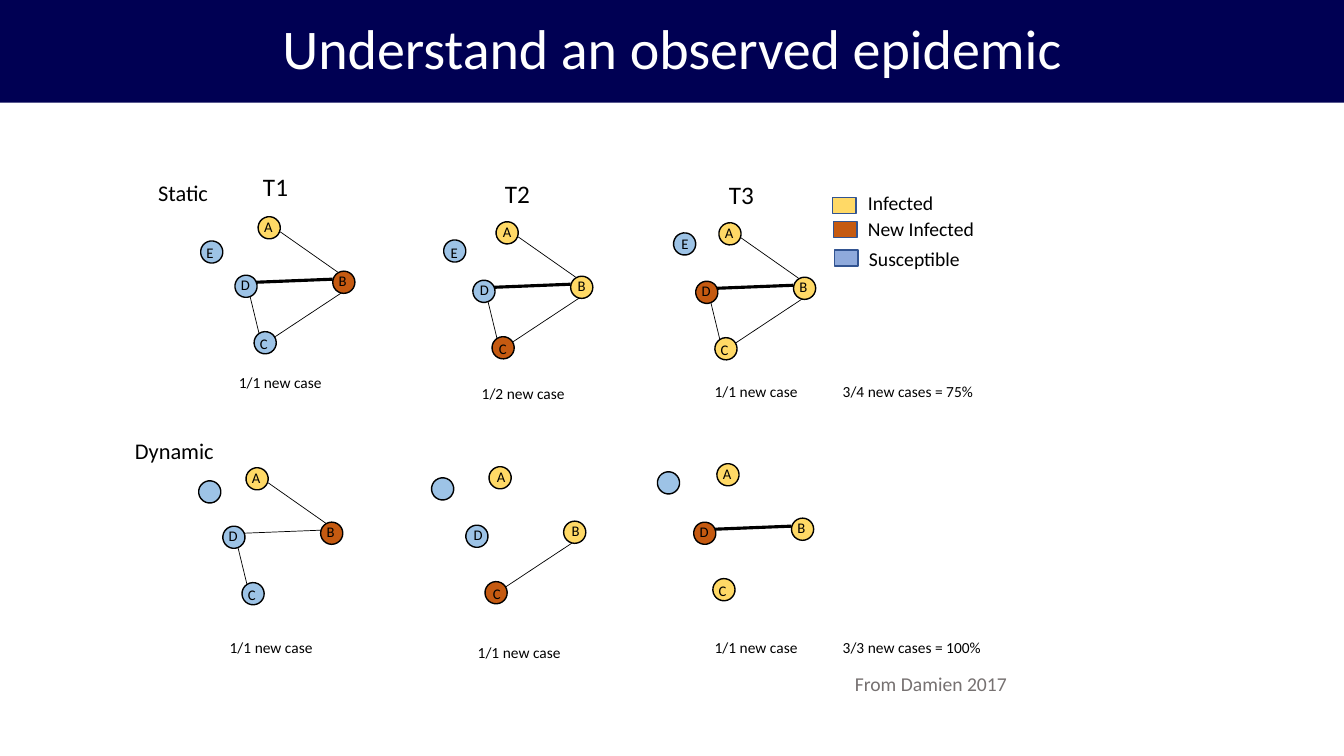
from dataclasses import dataclass

from lxml import etree
from pptx import Presentation
from pptx.dml.color import RGBColor
from pptx.enum.shapes import MSO_CONNECTOR, MSO_SHAPE
from pptx.enum.text import MSO_ANCHOR, MSO_AUTO_SIZE, PP_ALIGN
from pptx.oxml.ns import qn
from pptx.util import Emu, Pt

STRAIGHT = MSO_CONNECTOR.STRAIGHT
ELLIPSE = MSO_SHAPE.OVAL
RECTANGLE = MSO_SHAPE.RECTANGLE
MIDDLE = MSO_ANCHOR.MIDDLE
CENTER = PP_ALIGN.CENTER
GROW = MSO_AUTO_SIZE.SHAPE_TO_FIT_TEXT
EMU_PER_PX = 9144
NODE_SIZE = 22


@dataclass(frozen=True)
class Theme:
    """Colours and type sizes of the slide."""
    font: str = "Calibri"
    banner: str = "000053"
    white: str = "FFFFFF"
    ink: str = "000000"
    muted: str = "767171"
    infected: str = "FFD966"
    new: str = "C55A11"
    susceptible: str = "9DC3E6"
    key_susceptible: str = "8FAADC"
    key_line: str = "325491"
    title: float = 40
    period: float = 18
    row: float = 16
    key: float = 14
    caption: float = 11
    node: float = 10.5
    thin: float = 0.5
    outline: float = 1
    thick: float = 2.25


THEME = Theme()
NODES = {
    "D": (0, 0, 337.3),
    "A": (23, -58, 336.9),
    "C": (19, 56, 12),
    "B": (97, -4, 60.2),
}
LINKS = {
    "DB": (97, 4, 21, 7),
    "AB": (45, -43, 102, -3),
    "BC": (105, 18, 40, 61),
    "CD": (24, 58, 15, 21),
}


@dataclass(frozen=True)
class Network:
    """One contact network, with offsets measured from node D."""
    origin: tuple
    infected: str
    new: str
    links: tuple
    strong: bool
    loner: tuple
    label_shift: tuple
    caption: str
    caption_offset: tuple
    period: str = ""
    period_offset: tuple = (0, 0)
    loner_label: tuple = ()


ALL_LINKS = tuple(LINKS)
STATIC = (
    Network((233, 273), "A", "B", ALL_LINKS, True, (-34, -34), (-4, -4),
            "1/1 new case", (-6, 92), "T1", (18, -108), (-4, -2)),
    Network((469, 278), "AB", "C", ALL_LINKS, True, (-29, -40), (-3, -4),
            "1/2 new case", (-1, 98), "T2", (22, -106), (-3, -1)),
    Network((690, 279), "ABC", "D", ALL_LINKS, True, (-22, -48), (-4, -4),
            "1/1 new case", (9, 95), "T3", (23, -106), (-2, -3)),
)
DYNAMIC = (
    Network((221, 522), "A", "B", ("DB", "AB", "CD"), False, (-24, -45), (-4, -4),
            "1/1 new case", (-3, 106)),
    Network((462, 521), "AB", "C", ("BC",), False, (-34, -47), (-2, -4),
            "1/1 new case", (2, 112)),
    Network((688, 518), "ABC", "D", ("DB",), True, (-36, -50), (-4, -4),
            "1/1 new case", (11, 110)),
)


def px(value):
    """Turn px into EMU."""
    return Emu(int(value * EMU_PER_PX))


def add_run(paragraph, text, size, color):
    """Add one styled run to a paragraph."""
    run = paragraph.add_run()
    run.text = text
    run.font.name = THEME.font
    run.font.size = Pt(size)
    run.font.color.rgb = RGBColor.from_string(color)


def add_label(slide, text, box, size, color=THEME.ink):
    """Add a one-line text box that does not wrap."""
    frame = slide.shapes.add_textbox(*map(px, box)).text_frame
    frame.word_wrap = False
    frame.auto_size = GROW
    add_run(frame.paragraphs[0], text, size, color)


def add_block(slide, kind, box, fill, line=None):
    """Add a filled preset shape without shadow."""
    shape = slide.shapes.add_shape(kind, *map(px, box))
    shape.shadow.inherit = False
    shape.fill.solid()
    shape.fill.fore_color.rgb = RGBColor.from_string(fill)
    if line:
        shape.line.color.rgb = RGBColor.from_string(line)
        shape.line.width = Pt(THEME.outline)
    else:
        shape.line.fill.background()
    return shape


def add_link(slide, ends, width):
    """Add a straight black line."""
    connector = slide.shapes.add_connector(STRAIGHT, *map(px, ends))
    connector.line.color.rgb = RGBColor.from_string(THEME.ink)
    connector.line.width = Pt(width)
    etree.SubElement(connector._element.spPr, qn("a:effectLst"))


def draw_banner(slide, box):
    """Draw the title banner."""
    banner = add_block(slide, RECTANGLE, box, THEME.banner)
    banner.text_frame.word_wrap = True
    banner.text_frame.vertical_anchor = MIDDLE
    paragraph = banner.text_frame.paragraphs[0]
    paragraph.alignment = CENTER
    paragraph.line_spacing = 0.9
    add_run(paragraph, "Understand an observed epidemic", THEME.title, THEME.white)


def draw_network(slide, network):
    """Draw the nodes, links and captions of one network."""
    left, top = network.origin
    shift_x, shift_y = network.label_shift
    for name, (x, y, rotation) in {**NODES, "E": (*network.loner, 337.3)}.items():
        fill = THEME.susceptible
        if name in network.infected:
            fill = THEME.infected
        elif name in network.new:
            fill = THEME.new
        box = (left + x, top + y, NODE_SIZE, NODE_SIZE)
        add_block(slide, ELLIPSE, box, fill, THEME.ink).rotation = rotation
    for name in network.links:
        x1, y1, x2, y2 = LINKS[name]
        width = THEME.thick if name == "DB" and network.strong else THEME.thin
        add_link(slide, (left + x1, top + y1, left + x2, top + y2), width)
    for name, (x, y, _) in NODES.items():
        drop = 2 if name == "C" else 0
        box = (left + x + shift_x, top + y + shift_y + drop, 29, 29)
        add_label(slide, name, box, THEME.node)
    if network.loner_label:
        x, y = (a + b for a, b in zip(network.loner, network.loner_label))
        add_label(slide, "E", (left + x, top + y, 27, 28), THEME.node)
    x, y = network.caption_offset
    add_label(slide, network.caption, (left + x, top + y, 103, 29), THEME.caption)
    if network.period:
        x, y = network.period_offset
        add_label(slide, network.period, (left + x, top + y, 45, 40), THEME.period)


def draw_row(slide, title, title_box, networks, total, total_box):
    """Draw one row of networks with its name and total."""
    add_label(slide, title, title_box, THEME.row)
    for network in networks:
        draw_network(slide, network)
    add_label(slide, total, total_box, THEME.caption)


def draw_key(slide, left, top):
    """Draw the colour key."""
    entries = (
        ("Infected", THEME.infected, 0, 12, 25, 0, 85),
        ("New Infected", THEME.new, 1, 36, 25, 26, 126),
        ("Susceptible", THEME.key_susceptible, 2, 64, 26, 56, 111),
    )
    for text, fill, swatch_x, swatch_y, text_x, text_y, width in entries:
        swatch = (left + swatch_x, top + swatch_y, 23, 16)
        add_block(slide, RECTANGLE, swatch, fill, THEME.key_line)
        add_label(slide, text, (left + text_x, top + text_y, width, 34), THEME.key)


def main():
    """Build and save the slide."""
    presentation = Presentation()
    presentation.slide_width = px(1333)
    presentation.slide_height = px(750)
    slide = presentation.slides.add_slide(presentation.slide_layouts[6])
    draw_banner(slide, (0, -1, 1333, 103))
    draw_row(slide, "Static", (147, 173, 70, 37), STATIC,
             "3/4 new cases = 75%", (826, 374, 151, 29))
    draw_row(slide, "Dynamic", (124, 429, 99, 37), DYNAMIC,
             "3/3 new cases = 100%", (826, 628, 159, 29))
    draw_key(slide, 826, 184)
    add_label(slide, "From Damien 2017", (838, 662, 172, 34), THEME.key, THEME.muted)
    presentation.save("out.pptx")


if __name__ == "__main__":
    main()
